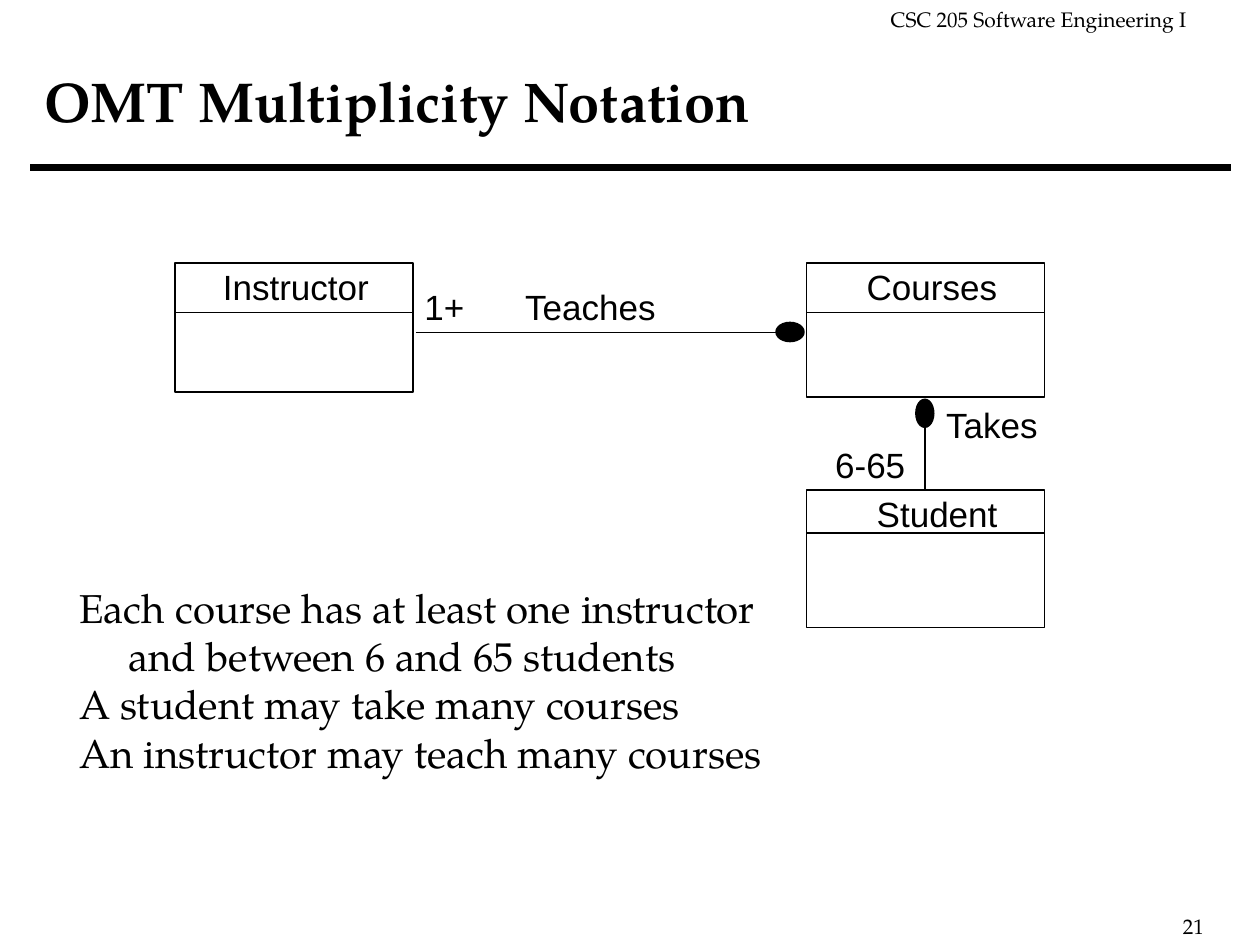
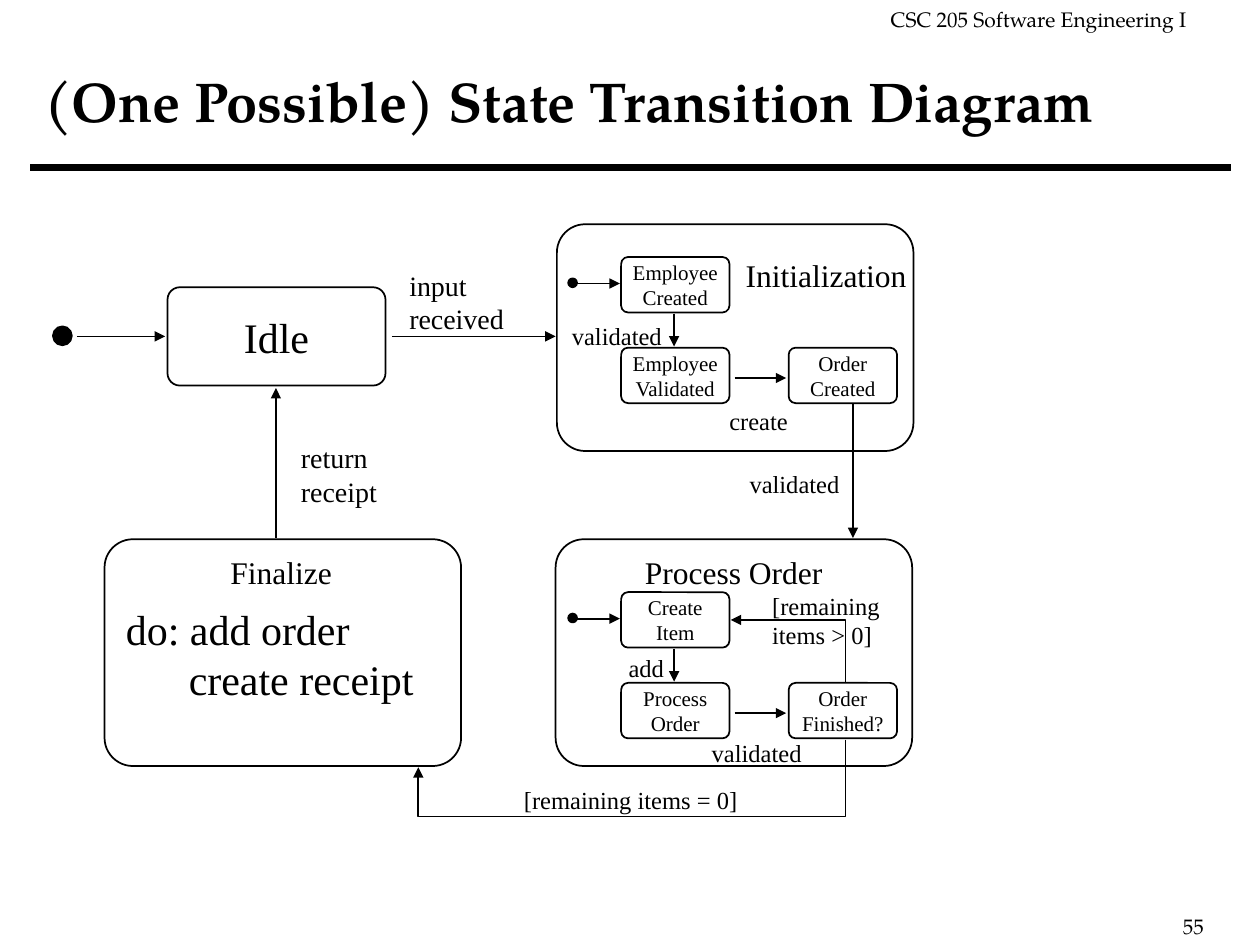
from lxml import etree
from pptx import Presentation
from pptx.dml.color import RGBColor
from pptx.enum.shapes import MSO_CONNECTOR, MSO_SHAPE
from pptx.enum.text import MSO_ANCHOR, MSO_AUTO_SIZE, PP_ALIGN
from pptx.oxml.ns import qn
from pptx.util import Pt

RECT, ROUND, OVAL = MSO_SHAPE.RECTANGLE, MSO_SHAPE.ROUNDED_RECTANGLE, MSO_SHAPE.OVAL
STRAIGHT = MSO_CONNECTOR.STRAIGHT
LEFT, CENTER = PP_ALIGN.LEFT, PP_ALIGN.CENTER
TOP, MIDDLE = MSO_ANCHOR.TOP, MSO_ANCHOR.MIDDLE
FIT, FIXED = MSO_AUTO_SIZE.SHAPE_TO_FIT_TEXT, MSO_AUTO_SIZE.NONE

PX = 9144  # 100 px to the inch
BLACK, WHITE = "000000", "FFFFFF"
SERIF, SANS, TIMES = "TeX Gyre Pagella", "Arial", "Times New Roman"
COURSE = "CSC 205 Software Engineering I"

# Multiplicity: class boxes are (left, top, width, height, divider y)
CLASSES = [
    (139, 209, 189, 102, 248),
    (640, 209, 189, 106, 248),
    (640, 389, 189, 109, 423),
]
CLASS_LABELS = [
    ("Instructor", 167, 206, 142, 43),
    ("Courses", 678, 206, 143, 43),
    ("Student", 686, 386, 143, 43),
    ("Teaches", 407, 222, 128, 43),
    ("1+", 327, 222, 56, 43),
    ("Takes", 741, 315, 99, 43),
    ("6-65", 653, 347, 80, 43),
]
ASSOCIATIONS = [(330, 264, 638, 264), (734, 388, 734, 332)]
MANY_ENDS = [(616, 256, 22, 15), (727, 317, 14, 22)]
RULES = [
    "Each course has at least one instructor",
    "and between 6 and 65 students",
    "A student may take many courses",
    "An instructor may teach many courses",
]

# State diagram
COMPOSITES = [(442, 178), (441, 428), (83, 428)]
COMPOSITE_SIZE = (283, 180)
SUBSTATES = [  # top of the inner grid, then its three states
    (204, ["Employee\nCreated", "Employee\nValidated", "Order\nCreated"]),
    (470, ["Create\nItem", "Process\nOrder", "Order\nFinished?"]),
]
SUBSTATE_SPOTS = [(493, 0), (493, 72), (626, 72)]
SUBSTATE_ARROWS = [(458, 21, 492, 21), (535, 45, 535, 71), (583, 96, 624, 96)]
TRANSITIONS = [
    [(61, 267), (131, 267)],
    [(311, 267), (441, 267)],
    [(677, 321), (677, 427)],
    [(219, 427), (219, 308)],
    [(671, 541), (671, 492), (580, 492)],
    [(671, 587), (671, 648), (332, 648), (332, 609)],
]
STATE_LABELS = [  # text, left, top, width, height, size
    ("Initialization", 582, 198, 152, 40, 18),
    ("Process Order", 502, 434, 165, 40, 18),
    ("Finalize", 173, 434, 105, 40, 18),
    ("input\nreceived", 315, 208, 99, 63, 16),
    ("return\nreceipt", 229, 345, 84, 63, 16),
    ("validated", 444, 250, 95, 33, 14),
    ("create", 569, 317, 70, 33, 14),
    ("validated", 585, 367, 95, 33, 14),
    ("add", 489, 513, 52, 33, 14),
    ("validated", 555, 581, 95, 33, 14),
    ("[remaining\nitems > 0]", 603, 464, 110, 56, 14),
    ("[remaining items = 0]", 406, 618, 194, 33, 14),
]


def rgb(code):
    return RGBColor.from_string(code)


def write(sp, text, size, font, align=LEFT, anchor=TOP, wrap=True, fit=FIT,
          inset=(10, 5), bold=False):
    tf = sp.text_frame
    tf.text = text
    tf.word_wrap, tf.auto_size, tf.vertical_anchor = wrap, fit, anchor
    tf.margin_left = tf.margin_right = inset[0] * PX
    tf.margin_top = tf.margin_bottom = inset[1] * PX
    for p in tf.paragraphs:
        p.alignment = align
        for r in p.runs:
            r.font.size, r.font.name, r.font.bold = Pt(size), font, bold
            r.font.color.rgb = rgb(BLACK)


def label(slide, text, box, size, font):
    sp = slide.shapes.add_textbox(*[v * PX for v in box])
    write(sp, text, size, font)
    return sp


def indent(p, px):
    p._p.get_or_add_pPr().set("marL", str(px * PX))


def outline(sp, width=1):
    sp.line.color.rgb = rgb(BLACK)
    sp.line.width = Pt(width)


def shape(slide, kind, box, fill=None):
    sp = slide.shapes.add_shape(kind, *[v * PX for v in box])
    sp.shadow.inherit = False
    if fill:
        sp.fill.solid()
        sp.fill.fore_color.rgb = rgb(fill)
    else:
        sp.fill.background()
    outline(sp)
    if kind == ROUND:
        sp.adjustments[0] = 0.125
    return sp


def add_arrowhead(sp):
    ln = sp._element.spPr.find(qn("a:ln"))
    etree.SubElement(ln, qn("a:tailEnd"), type="triangle")


def line(slide, x1, y1, x2, y2, width=1, arrow=False):
    sp = slide.shapes.add_connector(STRAIGHT, x1 * PX, y1 * PX, x2 * PX, y2 * PX)
    outline(sp, width)
    if arrow:
        add_arrowhead(sp)
    etree.SubElement(sp._element.spPr, qn("a:effectLst"))


def transition(slide, points):
    if len(points) == 2:
        line(slide, *points[0], *points[1], arrow=True)
        return
    builder = slide.shapes.build_freeform(*points[0], scale=PX)
    builder.add_line_segments(points[1:], close=False)
    sp = builder.convert_to_shape()
    sp.shadow.inherit = False
    sp.fill.background()
    outline(sp)
    add_arrowhead(sp)


def new_slide(prs, title, number):
    slide = prs.slides.add_slide(prs.slide_layouts[5])
    header = shape(slide, RECT, (697, 0, 255, 30), WHITE)
    header.line.fill.background()
    write(header, COURSE, 12, SERIF, wrap=False)
    label(slide, number, (929, 720, 60, 30), 12, SERIF)
    line(slide, 24, 133, 977, 133, width=4)
    sp = slide.shapes.title
    sp.left, sp.top, sp.width, sp.height = [v * PX for v in (25, 17, 958, 125)]
    write(sp, title, 32, SERIF, anchor=MIDDLE, fit=FIXED, bold=True)
    return slide


def multiplicity_slide(prs):
    slide = new_slide(prs, "OMT Multiplicity Notation", "21")
    for x, y, w, h, divider in CLASSES:
        shape(slide, RECT, (x, y, w, h))
        line(slide, x, divider, x + w, divider)
    for ends in ASSOCIATIONS:
        line(slide, *ends)
    for box in MANY_ENDS:
        shape(slide, OVAL, box, BLACK)
    for text, *box in CLASS_LABELS:
        label(slide, text, box, 20, SANS)
    sp = label(slide, "\n".join(RULES), (53, 458, 570, 163), 23, SERIF)
    indent(sp.text_frame.paragraphs[1], 39)


def state_slide(prs):
    slide = new_slide(prs, "(One Possible) State Transition Diagram", "55")
    for spot in COMPOSITES:
        shape(slide, ROUND, spot + COMPOSITE_SIZE, WHITE)
    idle = shape(slide, ROUND, (133, 228, 173, 78), WHITE)
    write(idle, "Idle", 24, TIMES, CENTER, MIDDLE, wrap=False, fit=FIXED)
    shape(slide, OVAL, (42, 259, 15, 15), BLACK)
    for top, names in SUBSTATES:
        shape(slide, OVAL, (451, top + 17, 7, 7), BLACK)
        for name, (x, dy) in zip(names, SUBSTATE_SPOTS):
            sp = shape(slide, ROUND, (x, top + dy, 86, 44), WHITE)
            write(sp, name, 12, TIMES, CENTER, MIDDLE, False, FIXED, (5, 3))
        for x1, y1, x2, y2 in SUBSTATE_ARROWS:
            line(slide, x1, top + y1, x2, top + y2, arrow=True)
    for points in TRANSITIONS:
        transition(slide, points)
    for text, *box, size in STATE_LABELS:
        label(slide, text, box, size, TIMES)
    sp = label(slide, "do: add order\ncreate receipt", (90, 474, 256, 90), 24, TIMES)
    indent(sp.text_frame.paragraphs[1], 50)


def main():
    prs = Presentation()
    prs.slide_width, prs.slide_height = 1000 * PX, 750 * PX
    multiplicity_slide(prs)
    state_slide(prs)
    prs.save("out.pptx")


if __name__ == "__main__":
    main()
